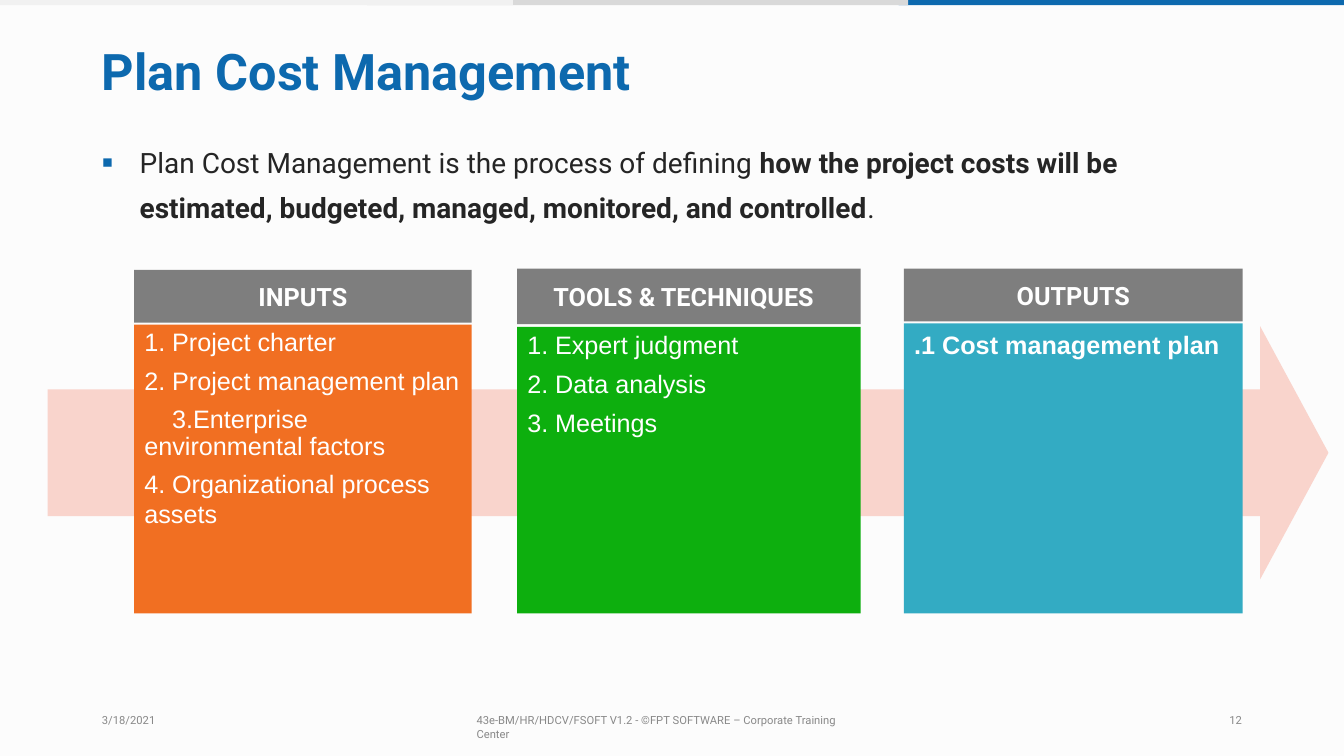
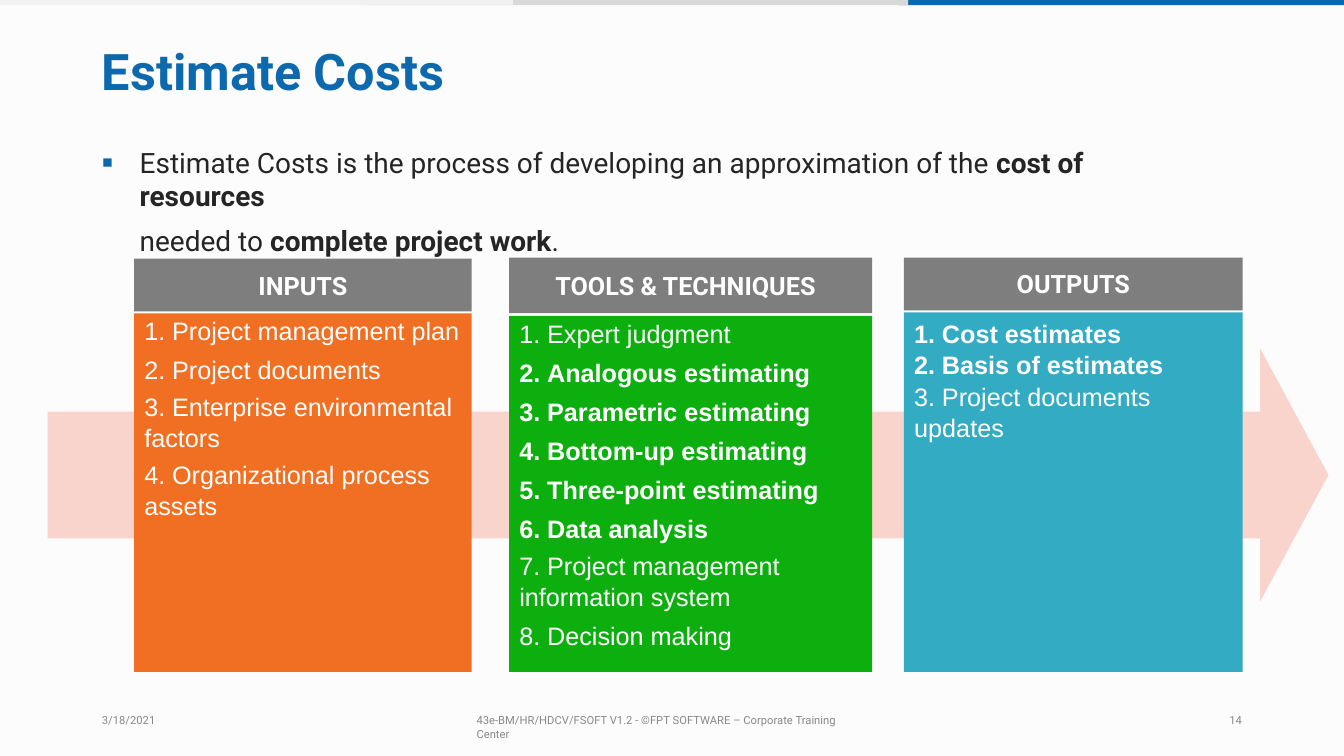
from lxml import etree
from pptx import Presentation
from pptx.dml.color import RGBColor
from pptx.enum.shapes import MSO_SHAPE
from pptx.enum.text import MSO_ANCHOR, PP_ALIGN
from pptx.oxml.ns import qn
from pptx.util import Cm, Pt

RECTANGLE = MSO_SHAPE.RECTANGLE
RIGHT_ARROW = MSO_SHAPE.RIGHT_ARROW
LEFT, CENTER = PP_ALIGN.LEFT, PP_ALIGN.CENTER
TOP, MIDDLE = MSO_ANCHOR.TOP, MSO_ANCHOR.MIDDLE

PAPER = RGBColor(0xFC, 0xFC, 0xFC)
BLUE = RGBColor(0x0D, 0x69, 0xAE)
SILVER = RGBColor(0xD9, 0xD9, 0xD9)
PALE = RGBColor(0xF1, 0xF1, 0xF1)
PINK = RGBColor(0xF9, 0xD4, 0xCC)
ORANGE = RGBColor(0xF1, 0x6F, 0x22)
GREEN = RGBColor(0x0D, 0xAF, 0x0E)
TEAL = RGBColor(0x33, 0xAB, 0xC3)
GRAY = RGBColor(0x7E, 0x7E, 0x7E)
FOOTER_GRAY = RGBColor(0x88, 0x88, 0x88)
INK = RGBColor(0x25, 0x25, 0x25)
WHITE = RGBColor(0xFF, 0xFF, 0xFF)

# style: marker, left margin (cm), first-line indent (cm), space before (pt), line height (pt)
STYLES = {
    "plain": (None, 0, 0, 0, None),
    "bullet": ("▪", 0.98, -0.96, 0, None),
    "under bullet": (None, 0.98, 0, 8, None),
    "item": ("number", 0.96, -0.7, 6.3, None),
    "long item": ("number", 0.96, -0.7, 5.3, None),
    "inset item": ("number", 0.26, 0.7, 8, 19.4),
    "close item": ("number", 0.96, -0.7, 1, None),
    "rest": (None, 0.26, 0, 0, None),
    "close rest": (None, 0.26, 0, 1, None),
}

# top edges and heights of the bars: left, width, fill
TOP_BARS = [(22.65, 11.22, BLUE), (9.25, 13.64, SILVER), (0, 12.93, PALE)]

# heading, fill, heading offset, heading height, heading right inset, list offset, list top inset
COLUMNS = [
    ("INPUTS", ORANGE, 0.03, 1.33, 0, 1.41, 0.04),
    ("TOOLS & TECHNIQUES", GREEN, 0, 1.4, 0.26, 1.47, 0.05),
    ("OUTPUTS", TEAL, 0, 1.33, 0, 1.38, 0.14),
]

# Asterisks enclose bold words
SLIDES = [
    {
        "title": "Plan Cost Management", "number": "12",
        "arrow_top": 8.22, "columns_top": 6.77, "columns_bottom": 15.46,
        "spans": [(3.38, 8.51), (13.03, 8.66), (22.78, 8.54)],
        "intro": [
            ("bullet", "Plan Cost Management is the process of defining "
                       "*how the project costs will be*"),
            ("under bullet", "*estimated, budgeted, managed, monitored, and controlled*."),
        ],
        "lists": [
            [("item", "Project charter"),
             ("item", "Project management plan"),
             ("inset item", "Enterprise environmental factors"),
             ("long item", "Organizational process"),
             ("rest", "assets")],
            [("item", "Expert judgment"),
             ("item", "Data analysis"),
             ("item", "Meetings")],
            [("rest", "*.1 Cost management plan*")],
        ],
    },
    {
        "title": "Estimate Costs", "number": "14",
        "arrow_top": 8.78, "columns_top": 6.49, "columns_bottom": 16.93,
        "spans": [(3.38, 8.51), (12.83, 9.15), (22.78, 8.54)],
        "intro": [
            ("bullet", "Estimate Costs is the process of developing an approximation "
                       "of the *cost of resources*"),
            ("under bullet", "needed to *complete project work*."),
        ],
        "lists": [
            [("item", "Project management plan"),
             ("item", "Project documents"),
             ("long item", "Enterprise environmental"),
             ("rest", "factors"),
             ("long item", "Organizational process"),
             ("rest", "assets")],
            [("item", "Expert judgment"),
             ("item", "*Analogous estimating*"),
             ("item", "*Parametric estimating*"),
             ("item", "*Bottom-up estimating*"),
             ("item", "*Three-point estimating*"),
             ("item", "*Data analysis*"),
             ("long item", "Project management"),
             ("rest", "information system"),
             ("item", "Decision making")],
            [("close item", "*Cost estimates*"),
             ("close item", "*Basis of estimates*"),
             ("close item", "Project documents"),
             ("close rest", "updates")],
        ],
    },
]


def add_box(slide, left, top, width, height, fill=None, kind=RECTANGLE):
    """Add a filled shape without outline, or a text box when there is no fill."""
    place = Cm(left), Cm(top), Cm(width), Cm(height)
    if fill is None:
        return slide.shapes.add_textbox(*place)
    shape = slide.shapes.add_shape(kind, *place)
    shape.shadow.inherit = False
    shape.fill.solid()
    shape.fill.fore_color.rgb = fill
    shape.line.fill.background()
    return shape


def write(box, paragraphs, size, color, font="Roboto", align=LEFT, anchor=TOP,
          top=0, right=0):
    """Fill a box with (style, text) paragraphs; numbering resumes after a rest line."""
    frame = box.text_frame
    frame.word_wrap = True
    frame.vertical_anchor = anchor
    frame.margin_left = frame.margin_bottom = 0
    frame.margin_top, frame.margin_right = Cm(top), Cm(right)
    count, resumed = 0, False
    for index, (style, text) in enumerate(paragraphs):
        marker, margin, indent, before, line_height = STYLES[style]
        paragraph = frame.add_paragraph() if index else frame.paragraphs[0]
        paragraph.alignment = align
        if index:
            paragraph.space_before = Pt(before)
        if line_height:
            paragraph.line_spacing = Pt(line_height)
        properties = paragraph._p.get_or_add_pPr()
        properties.set("marL", str(Cm(margin)))
        properties.set("indent", str(Cm(indent)))
        if marker == "number":
            count += 1
            numbering = etree.SubElement(properties, qn("a:buAutoNum"), type="arabicPeriod")
            if resumed:
                numbering.set("startAt", str(count))
        elif marker:
            bullet_color = etree.SubElement(properties, qn("a:buClr"))
            etree.SubElement(bullet_color, qn("a:srgbClr"), val=str(BLUE))
            etree.SubElement(properties, qn("a:buSzPct"), val="120000")
            etree.SubElement(properties, qn("a:buFont"), typeface="Arial")
            etree.SubElement(properties, qn("a:buChar"), char=marker)
        else:
            etree.SubElement(properties, qn("a:buNone"))
        resumed = marker is None
        for part, words in enumerate(text.split("*")):
            if words:
                run = paragraph.add_run()
                run.text = words
                run.font.name, run.font.size = font, Pt(size)
                run.font.bold = part % 2 == 1
                run.font.color.rgb = color


deck = Presentation()
deck.slide_width, deck.slide_height = Cm(33.87), Cm(19.05)

for content in SLIDES:
    slide = deck.slides.add_slide(deck.slide_layouts[6])
    slide.background.fill.solid()
    slide.background.fill.fore_color.rgb = PAPER
    for left, width, fill in TOP_BARS:
        add_box(slide, left, 0, width, 0.13, fill)

    arrow = add_box(slide, 1.2, content["arrow_top"], 32.28, 6.38, PINK, RIGHT_ARROW)
    arrow.adjustments[0], arrow.adjustments[1] = 0.5, 0.27

    title = add_box(slide, 2.57, 0.97, 26.7, 1.42)
    write(title, [("plain", f"*{content['title']}*")], 36, BLUE, top=0.03)
    intro = add_box(slide, 2.54, 3.38, 27.91, 2.26)
    write(intro, content["intro"], 20, INK, top=0.28)

    footers = [
        (2.57, 2, "3/18/2021"),
        (12.01, 9.6, "43e-BM/HR/HDCV/FSOFT V1.2 - ©FPT SOFTWARE – Corporate Training Center"),
        (30.98, 1, content["number"]),
    ]
    for left, width, text in footers:
        footer = add_box(slide, left, 17.93, width, 0.43)
        write(footer, [("plain", text)], 8, FOOTER_GRAY, top=0.05)

    for column, (left, width), items in zip(COLUMNS, content["spans"], content["lists"]):
        heading, fill, heading_drop, heading_height, inset, list_drop, list_inset = column
        list_top = content["columns_top"] + list_drop
        items_box = add_box(slide, left, list_top, width,
                            content["columns_bottom"] - list_top, fill)
        write(items_box, items, 18, WHITE, "Arial", top=list_inset, right=0.13)
        heading_box = add_box(slide, left, content["columns_top"] + heading_drop,
                              width, heading_height, GRAY)
        write(heading_box, [("plain", f"*{heading}*")], 18, WHITE,
              align=CENTER, anchor=MIDDLE, right=inset)

deck.save("out.pptx")
